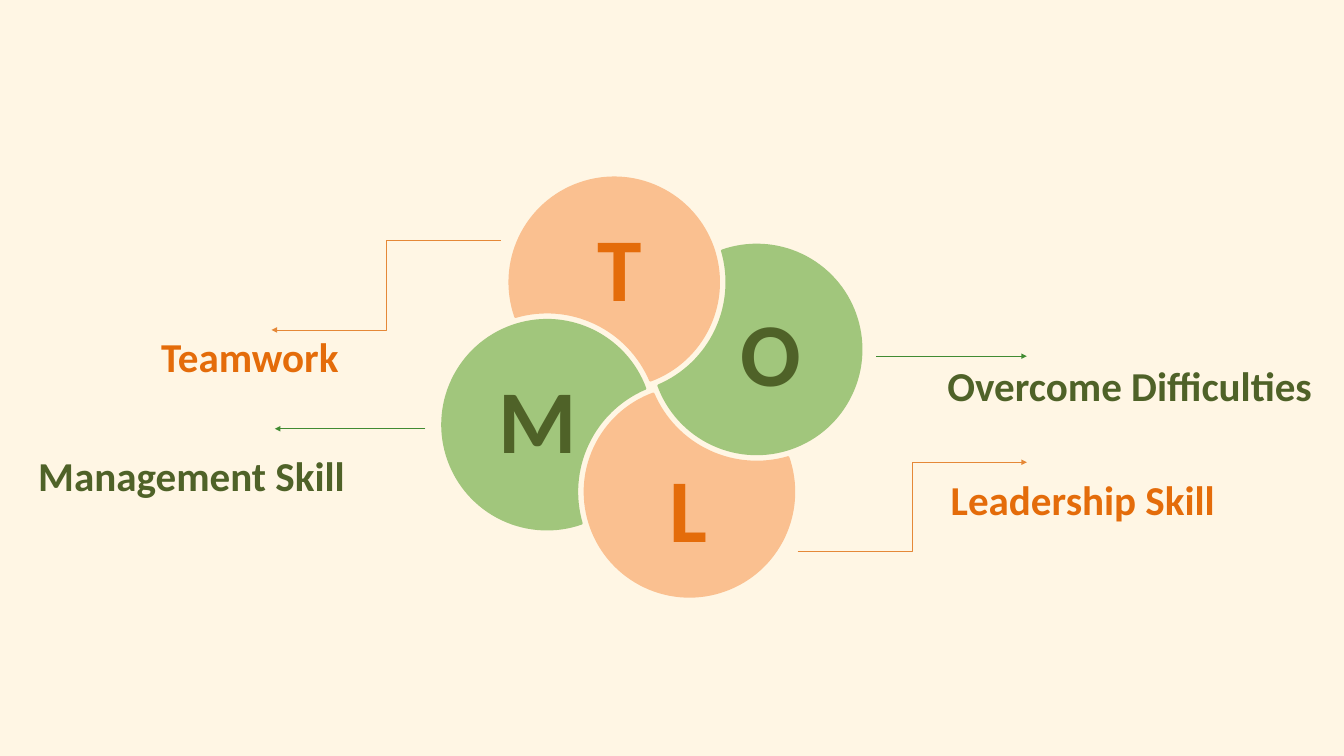
import math
from dataclasses import dataclass

import pptx
import pptx.dml.color
import pptx.enum.shapes
import pptx.enum.text
import pptx.oxml
import pptx.oxml.ns
import pptx.util
from pptx.util import Inches

CREAM = "FFF6E4"
LIGHT_GREEN, GREEN, DARK_GREEN = "A1C67C", "418B32", "4F6228"
LIGHT_ORANGE, ORANGE, DARK_ORANGE = "FAC090", "E58837", "E46C0A"

CENTRE_X, CENTRE_Y = 9.7, 5.76
PETAL_RADIUS, BITE_RADIUS = 1.56, 1.67
STRAIGHT = pptx.enum.shapes.MSO_CONNECTOR.STRAIGHT
ELBOW = pptx.enum.shapes.MSO_CONNECTOR.ELBOW
Point = tuple[float, float]


@dataclass
class Arrow:
    kind: pptx.enum.shapes.MSO_CONNECTOR
    start: Point
    end: Point
    color: str


@dataclass
class Label:
    text: str
    left: float
    top: float
    width: float
    height: float
    size: int
    color: str
    wrap: bool = False


PETAL_COLORS = [LIGHT_GREEN, LIGHT_ORANGE, LIGHT_GREEN, LIGHT_ORANGE]

ARROWS = [
    Arrow(ELBOW, (7.45, 3.58), (4.04, 4.91), ORANGE),
    Arrow(ELBOW, (11.87, 8.21), (15.28, 6.88), ORANGE),
    Arrow(STRAIGHT, (6.33, 6.38), (4.09, 6.38), GREEN),
    Arrow(STRAIGHT, (13.04, 5.3), (15.28, 5.3), GREEN),
]

LABELS = [
    Label("T", 8.8, 3.11, 0.87, 1.72, 96, DARK_ORANGE),
    Label("L", 9.87, 6.69, 0.77, 1.72, 96, DARK_ORANGE),
    Label("M", 7.32, 5.37, 1.38, 1.72, 96, DARK_GREEN),
    Label("O", 10.92, 4.37, 1.11, 1.72, 96, DARK_GREEN),
    Label("Teamwork", 2.3, 4.89, 2.87, 0.84, 44, DARK_ORANGE),
    Label("Leadership Skill", 14.05, 7.01, 4.17, 0.84, 44, DARK_ORANGE),
    Label("Overcome Difficulties", 14, 5.31, 5.67, 0.84, 44, DARK_GREEN, True),
    Label("Management Skill", 0.47, 6.66, 5.67, 0.84, 44, DARK_GREEN, True),
]


def rgb(color: str) -> pptx.dml.color.RGBColor:
    return pptx.dml.color.RGBColor.from_string(color)


def arc_curves(x: float, radius: float, angles: list[float]) -> list[list[Point]]:
    """Return one Bézier curve of four points, in EMU, for each step between angles."""
    curves = []
    for start, end in zip(angles, angles[1:]):
        handle = 4 / 3 * math.tan((end - start) / 4)
        cos_start, sin_start = math.cos(start), math.sin(start)
        cos_end, sin_end = math.cos(end), math.sin(end)
        unit_points = [
            (cos_start, sin_start),
            (cos_start - handle * sin_start, sin_start + handle * cos_start),
            (cos_end + handle * sin_end, sin_end - handle * cos_end),
            (cos_end, sin_end),
        ]
        curves.append([(Inches(x + radius * u), Inches(radius * v)) for u, v in unit_points])
    return curves


def petal_curves(distance: float) -> list[list[Point]]:
    """Outline a disc at the origin with a round bite centred at distance to its right."""
    excess = PETAL_RADIUS**2 - BITE_RADIUS**2
    petal_angle = math.acos((distance**2 + excess) / (2 * PETAL_RADIUS * distance))
    bite_angle = math.acos((distance**2 - excess) / (2 * BITE_RADIUS * distance))
    quarter, half, full = math.pi / 2, math.pi, 2 * math.pi
    rim = [petal_angle, quarter, half, 3 * quarter, full - petal_angle]
    bite = [half + bite_angle, half, half - bite_angle]
    return arc_curves(0, PETAL_RADIUS, rim) + arc_curves(distance, BITE_RADIUS, bite)


def add_petal(slide: pptx.slide.Slide, offset: Point, color: str) -> None:
    """Draw a petal whose bite faces the next petal, a quarter turn on."""
    dx, dy = offset
    direction = math.atan2(-dx - dy, dy - dx)
    curves = petal_curves(math.sqrt(2) * math.hypot(dx, dy))
    builder = slide.shapes.build_freeform(*curves[0][0])
    builder.add_line_segments([curve[-1] for curve in curves], close=True)
    shape = builder.convert_to_shape()
    left, top = shape.left, shape.top

    lines = list(shape._element.spPr.iter(pptx.oxml.ns.qn("a:lnTo")))
    for line, curve in zip(lines, curves):
        points = "".join(f'<a:pt x="{x - left}" y="{y - top}"/>' for x, y in curve[1:])
        bezier = f'<a:cubicBezTo {pptx.oxml.ns.nsdecls("a")}>{points}</a:cubicBezTo>'
        line.getparent().replace(line, pptx.oxml.parse_xml(bezier))

    shift = left + shape.width / 2
    middle_x = Inches(CENTRE_X + dx) + shift * math.cos(direction)
    middle_y = Inches(CENTRE_Y + dy) + shift * math.sin(direction)
    shape.left = round(middle_x - shape.width / 2)
    shape.top = round(middle_y - shape.height / 2)
    shape.rotation = math.degrees(direction) % 360
    shape.shadow.inherit = False
    shape.fill.solid()
    shape.fill.fore_color.rgb = rgb(color)
    shape.line.color.rgb = rgb(color)
    shape.line.width = pptx.util.Pt(2)


def add_arrow(slide: pptx.slide.Slide, arrow: Arrow) -> None:
    ends = [Inches(value) for value in arrow.start + arrow.end]
    connector = slide.shapes.add_connector(arrow.kind, *ends)
    connector.line.color.rgb = rgb(arrow.color)
    connector.line.width = pptx.util.Pt(0.75)
    properties = connector.line._get_or_add_ln()
    tail = pptx.oxml.parse_xml(f'<a:tailEnd {pptx.oxml.ns.nsdecls("a")} type="triangle"/>')
    properties.append(tail)
    effects = pptx.oxml.parse_xml(f'<a:effectLst {pptx.oxml.ns.nsdecls("a")}/>')
    connector._element.spPr.append(effects)


def add_label(slide: pptx.slide.Slide, label: Label) -> None:
    box = slide.shapes.add_textbox(
        Inches(label.left), Inches(label.top), Inches(label.width), Inches(label.height)
    )
    frame = box.text_frame
    frame.word_wrap = label.wrap
    frame.auto_size = pptx.enum.text.MSO_AUTO_SIZE.SHAPE_TO_FIT_TEXT
    run = frame.paragraphs[0].add_run()
    run.text = label.text
    run.font.name = "Calibri"
    run.font.size = pptx.util.Pt(label.size)
    run.font.bold = True
    run.font.color.rgb = rgb(label.color)


def main() -> None:
    presentation = pptx.Presentation()
    presentation.slide_width = Inches(20)
    presentation.slide_height = Inches(11.25)
    slide = presentation.slides.add_slide(presentation.slide_layouts[6])
    slide.background.fill.solid()
    slide.background.fill.fore_color.rgb = rgb(CREAM)

    offset = (-1.56, 0.56)
    for color in PETAL_COLORS:
        add_petal(slide, offset, color)
        offset = (offset[1], -offset[0])
    for arrow in ARROWS:
        add_arrow(slide, arrow)
    for label in LABELS:
        add_label(slide, label)

    presentation.save("out.pptx")


if __name__ == "__main__":
    main()
